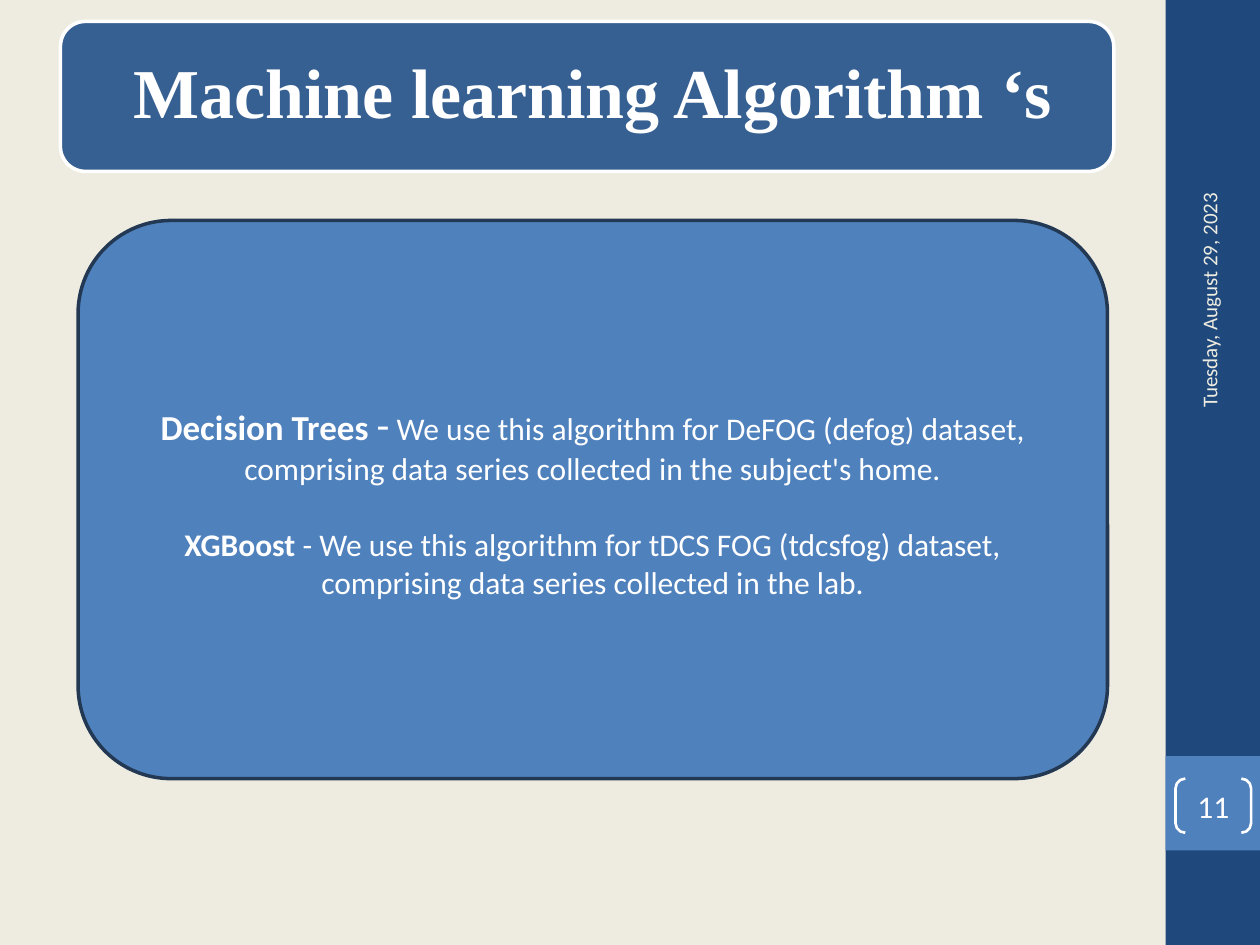
import pptx
import pptx.util
import pptx.dml.color
import pptx.enum.shapes
import pptx.enum.text

Inches = pptx.util.Inches
Pt = pptx.util.Pt
SHAPES = pptx.enum.shapes.MSO_SHAPE
ANCHOR = pptx.enum.text.MSO_ANCHOR
ALIGN = pptx.enum.text.PP_ALIGN

COLORS = {
    "background": "EEECE1",
    "sidebar": "1F497D",
    "panel": "4F81BD",
    "panel_line": "233953",
    "banner": "376092",
    "white": "FFFFFF",
}

ALGORITHMS = [
    [("Decision Trees ", 20, True), ("-", 24, False),
     (" We use this algorithm for DeFOG (defog) dataset, comprising data "
      "series collected in the subject's home.", 18, False)],
    [("XGBoost ", 18, True),
     ("- We use this algorithm for tDCS FOG (tdcsfog) dataset, comprising "
      "data series collected in the lab.", 18, False)],
]


def rgb(name):
    return pptx.dml.color.RGBColor.from_string(COLORS[name])


def add_box(slide, kind, box, fill=None, line=None, width=0):
    shape = slide.shapes.add_shape(kind, *map(Inches, box))
    shape.shadow.inherit = False
    if fill:
        shape.fill.solid()
        shape.fill.fore_color.rgb = rgb(fill)
    else:
        shape.fill.background()
    if line:
        shape.line.color.rgb = rgb(line)
        shape.line.width = Pt(width)
    else:
        shape.line.fill.background()
    return shape


def format_run(run, size, color="white", bold=False, font="Calibri"):
    run.font.size = Pt(size)
    run.font.color.rgb = rgb(color)
    run.font.bold = bold
    run.font.name = font


def add_sidebar(slide, box):
    left, top, width, height = box
    add_box(slide, SHAPES.RECTANGLE, box, "sidebar")
    add_box(slide, SHAPES.RECTANGLE, (left, top + 6, width, width), "panel")

    # Date, reading upwards
    date = slide.shapes.add_textbox(
        Inches(left - 0.99), Inches(top + 1.8), Inches(2.67), Inches(0.4))
    date.rotation = 270
    frame = date.text_frame
    frame.word_wrap = True
    frame.vertical_anchor = ANCHOR.MIDDLE
    frame.text = "Tuesday, August 29, 2023"
    format_run(frame.paragraphs[0].runs[0], 12, "background")

    # Slide number in brackets
    number = add_box(slide, SHAPES.DOUBLE_BRACKET,
                     (left + 0.08, top + 6.18, 0.6, 0.43),
                     line="white", width=1.5)
    number.adjustments[0] = 0.18
    frame = number.text_frame
    frame.margin_left = frame.margin_right = 0
    frame.margin_top = frame.margin_bottom = 0
    frame.vertical_anchor = ANCHOR.MIDDLE
    frame.text = "11"
    frame.paragraphs[0].alignment = ALIGN.CENTER
    format_run(frame.paragraphs[0].runs[0], 18)


def add_title(slide, box):
    left, top, width, height = box
    banner = add_box(slide, SHAPES.ROUNDED_RECTANGLE, box, "banner", "white", 2)
    title = slide.shapes.title
    title.left, title.top = Inches(left + 0.35), Inches(top + 0.24)
    title.width, title.height = Inches(7.75), Inches(0.71)
    banner.element.addnext(title.element)  # title in front of its banner
    frame = title.text_frame
    frame.word_wrap = True
    frame.auto_size = pptx.enum.text.MSO_AUTO_SIZE.NONE
    frame.vertical_anchor = ANCHOR.TOP
    frame.text = "Machine learning Algorithm ‘s"
    paragraph = frame.paragraphs[0]
    paragraph.alignment = ALIGN.CENTER
    paragraph.line_spacing = 0.9
    format_run(paragraph.runs[0], 40, bold=True, font="Times New Roman")


def add_algorithms(slide, box):
    panel = add_box(slide, SHAPES.ROUNDED_RECTANGLE, box,
                    "panel", "panel_line", 2)
    frame = panel.text_frame
    frame.word_wrap = True
    frame.vertical_anchor = ANCHOR.MIDDLE
    for index, parts in enumerate(ALGORITHMS):
        paragraph = frame.add_paragraph() if index else frame.paragraphs[0]
        paragraph.alignment = ALIGN.CENTER
        paragraph.space_before = Pt(22 if index else 0)
        for text, size, bold in parts:
            run = paragraph.add_run()
            run.text = text
            format_run(run, size, bold=bold)


def main():
    presentation = pptx.Presentation()
    presentation.slide_width = Inches(10)
    presentation.slide_height = Inches(7.5)
    slide = presentation.slides.add_slide(presentation.slide_layouts[5])
    slide.background.fill.solid()
    slide.background.fill.fore_color.rgb = rgb("background")

    add_sidebar(slide, (9.25, 0, 0.75, 7.5))
    add_title(slide, (0.48, 0.17, 8.36, 1.19))
    add_algorithms(slide, (0.62, 1.75, 8.17, 4.43))
    presentation.save("out.pptx")


if __name__ == "__main__":
    main()
